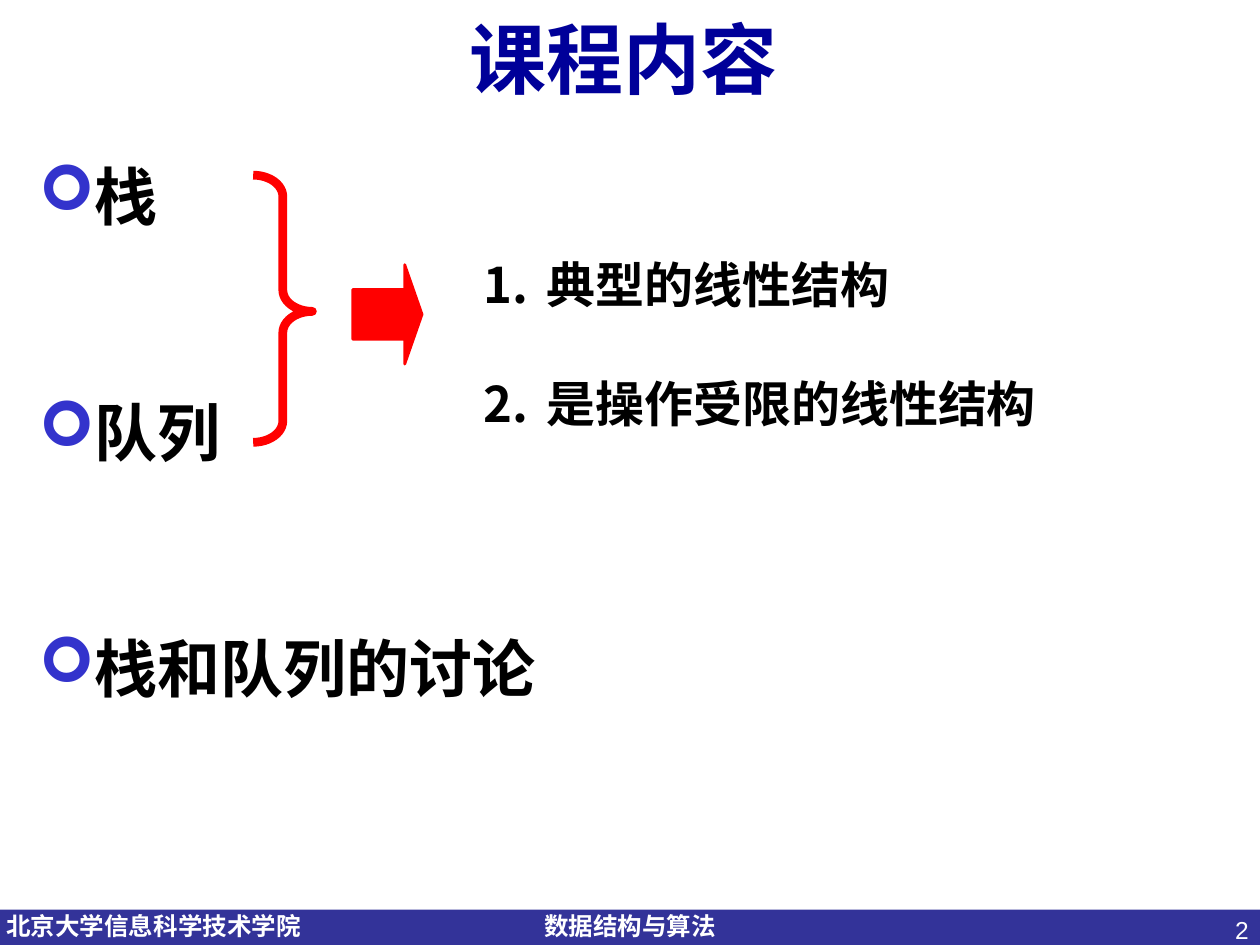
from dataclasses import dataclass

from lxml import etree
from pptx import Presentation
from pptx import util as u
from pptx.dml.color import RGBColor
from pptx.enum import shapes, text
from pptx.oxml.ns import qn


@dataclass(frozen=True)
class Theme:
    navy: str = "000099"
    bar: str = "333399"
    bullet: str = "3333CC"
    accent: str = "FF0000"
    black: str = "000000"
    white: str = "FFFFFF"
    sans: str = "Arial"
    serif: str = "Times New Roman"
    chinese: str = "Noto Sans CJK SC"
    symbols: str = "Wingdings"
    title_size: int = 44
    topic_size: int = 36
    point_size: int = 28
    footer_size: int = 14


THEME = Theme()
SIDES = ("left", "top", "right", "bottom")


def apply(target, values):
    for name, value in values.items():
        setattr(target, name, value)


def add_box(page, place, insets=(0.1, 0.05, 0.1, 0.05), **frame_format):
    box = page.shapes.add_textbox(*map(u.Inches, place))
    frame = box.text_frame
    apply(frame, {f"margin_{side}": u.Inches(inset) for side, inset in zip(SIDES, insets)})
    apply(frame, {"word_wrap": True, **frame_format})
    return frame


def add_text(para, words, size, font, color, bold=True):
    span = para.add_run()
    span.text = words
    apply(span.font, {"size": u.Pt(size), "name": font, "bold": bold})
    span.font.color.rgb = RGBColor.from_string(color)


def add_bullet(para, indent, color, font, kind, **marker):
    props = para._p.get_or_add_pPr()
    props.set("marL", str(u.Inches(indent)))
    props.set("indent", str(-u.Inches(indent)))
    tint = etree.SubElement(props, qn("a:buClr"))
    etree.SubElement(tint, qn("a:srgbClr"), val=color)
    etree.SubElement(props, qn("a:buFont"), typeface=font)
    etree.SubElement(props, qn(kind), **marker)


def add_list(frame, items, size, line_spacing, gap, bullet):
    for index, words in enumerate(items):
        para = frame.add_paragraph() if index else frame.paragraphs[0]
        add_bullet(para, **bullet)
        apply(para, {"line_spacing": line_spacing, "space_before": u.Pt(gap if index else 0)})
        add_text(para, words, size, THEME.serif, THEME.black)


def add_figure(page, kind, place, adjustments=(), fill=None, line=None, width=0):
    figure = page.shapes.add_shape(kind, *map(u.Inches, place))
    figure.shadow.inherit = False
    for index, value in enumerate(adjustments):
        figure.adjustments[index] = value
    for paint, color in ((figure.fill, fill), (figure.line.fill, line)):
        if color:
            paint.solid()
            paint.fore_color.rgb = RGBColor.from_string(color)
        else:
            paint.background()
    if line:
        figure.line.width = u.Pt(width)


def add_footer(page):
    add_figure(page, shapes.MSO_SHAPE.RECTANGLE, (0, 7.22, 10, 0.28), fill=THEME.bar)
    labels = (("北京大学信息科学技术学院", 0.05, 2.6), ("数据结构与算法", 4.32, 1.6))
    for words, left, width in labels:
        frame = add_box(page, (left, 7.18, width, 0.34), (0, 0.05, 0.1, 0.05))
        add_text(frame.paragraphs[0], words, THEME.footer_size, THEME.sans, THEME.white)
    number = add_box(page, (7.68, 7.21, 2.33, 0.52)).paragraphs[0]
    number.alignment = text.PP_ALIGN.RIGHT
    add_text(number, "2", THEME.footer_size, THEME.sans, THEME.white, bold=False)


def add_title(page, words):
    frame = add_box(page, (0, 0, 10, 0.91), (0.2, 0.05, 0.3, 0.05),
                    vertical_anchor=text.MSO_ANCHOR.MIDDLE)
    para = frame.paragraphs[0]
    para.alignment = text.PP_ALIGN.CENTER
    add_text(para, words, THEME.title_size, THEME.chinese, THEME.navy)


def main():
    deck = Presentation()
    apply(deck, {"slide_width": u.Inches(10), "slide_height": u.Inches(7.5)})
    page = deck.slides.add_slide(deck.slide_layouts[6])

    add_footer(page)
    add_title(page, "课程内容")
    add_list(add_box(page, (0.21, 0.99, 9.61, 6.06)), ("栈", "队列", "栈和队列的讨论"),
             THEME.topic_size, 1.35, 76.5,
             {"indent": 0.38, "color": THEME.bullet, "font": THEME.symbols,
              "kind": "a:buChar", "char": "➢"})
    add_list(add_box(page, (3.74, 1.74, 5.43, 1.75)), ("典型的线性结构", "是操作受限的线性结构"),
             THEME.point_size, 1.5, 17.5,
             {"indent": 0.5, "color": THEME.black, "font": THEME.chinese,
              "kind": "a:buAutoNum", "type": "arabicPeriod"})
    add_figure(page, shapes.MSO_SHAPE.RIGHT_BRACE, (2.01, 1.39, 0.47, 2.12), (0.36, 0.51),
               line=THEME.accent, width=5)
    add_figure(page, shapes.MSO_SHAPE.RIGHT_ARROW, (2.8, 2.1, 0.55, 0.79), (0.5, 0.25),
               fill=THEME.accent, line=THEME.accent, width=1.5)

    deck.save("out.pptx")


if __name__ == "__main__":
    main()
